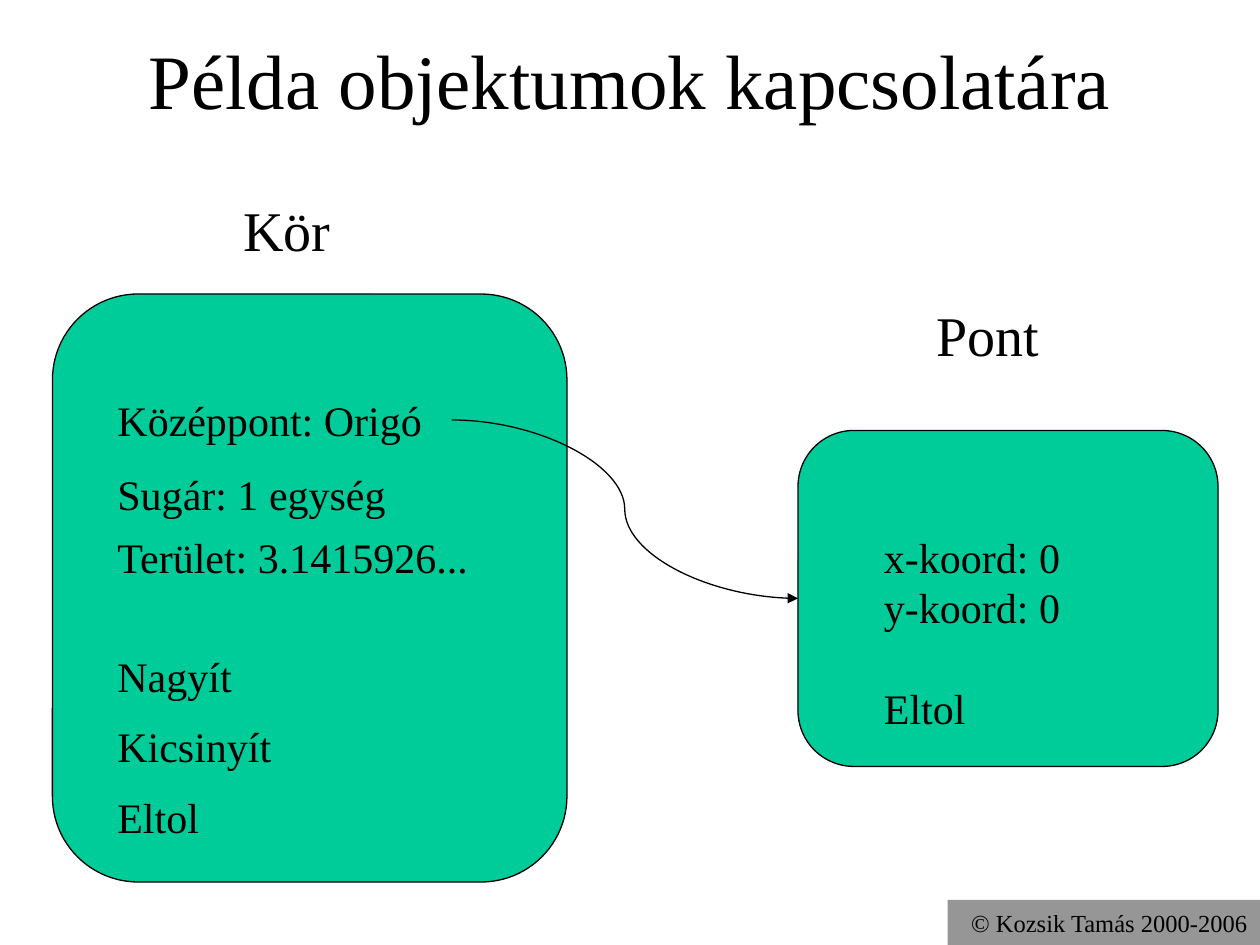
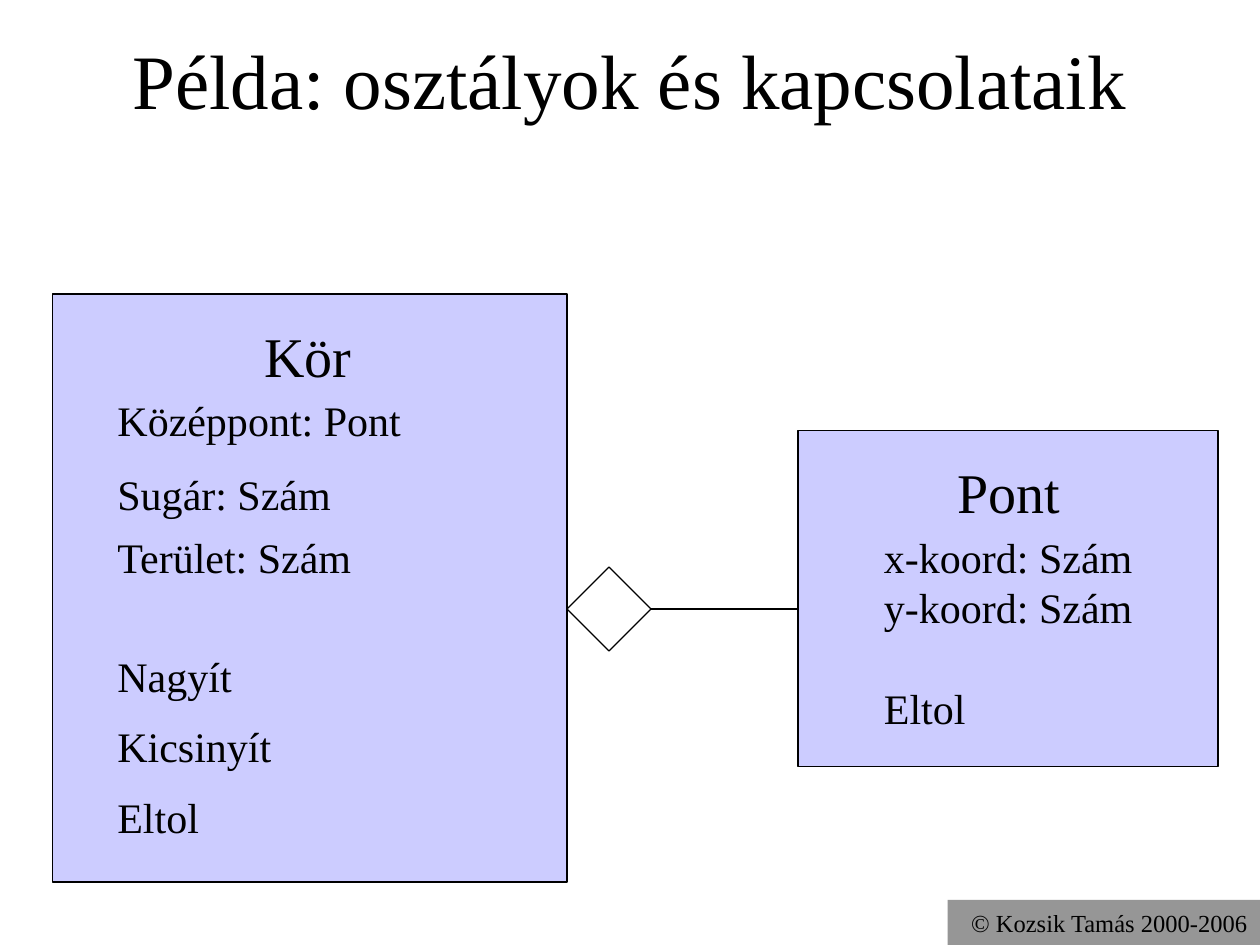
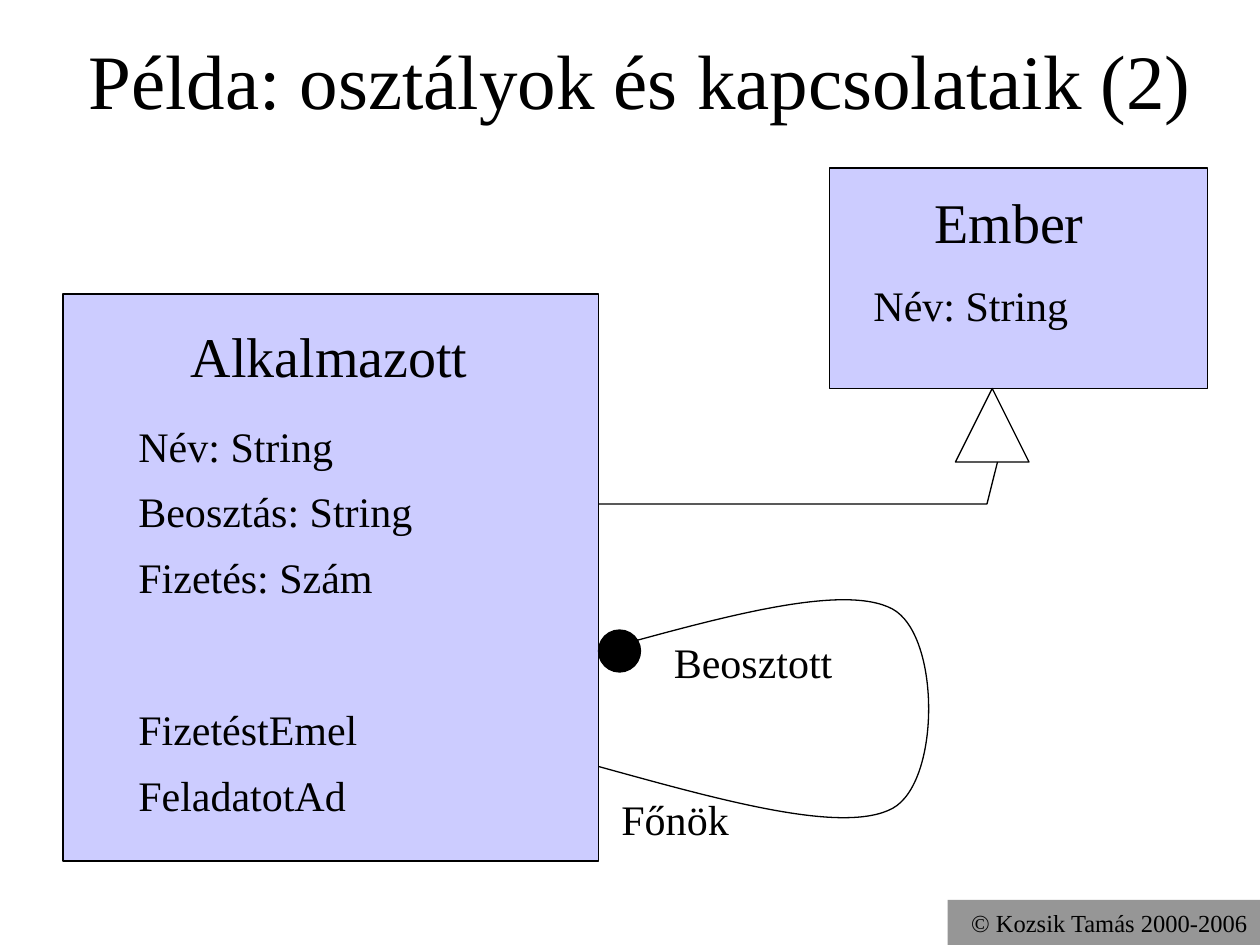
"""Build three slides on objects, classes and how they relate."""
from pptx import Presentation
from pptx.dml.color import RGBColor
from pptx.enum.dml import MSO_LINE
from pptx.enum.shapes import MSO_CONNECTOR, MSO_SHAPE
from pptx.enum.text import MSO_ANCHOR, MSO_AUTO_SIZE, PP_ALIGN
from pptx.oxml.ns import qn
from pptx.util import Inches, Pt
from lxml.etree import SubElement

HUES = {"ink": "000000", "object": "00CC99", "class": "CCCCFF", "foot": "969696"}
INK = RGBColor.from_string(HUES["ink"])
FONT = "Times New Roman"
UNIT = Inches(1) / 12
COLS, ROWS = 120, 90
HEAD, BODY, SMALL = 32, 24, 14


def write(frame, lines, size, pitch=1.0, align=PP_ALIGN.LEFT):
    for i, line in enumerate(lines):
        para = frame.paragraphs[0] if i == 0 else frame.add_paragraph()
        para.alignment = align
        para.line_spacing = pitch
        run = para.add_run()
        run.text = line
        run.font.name = FONT
        run.font.size = Pt(size)
        run.font.color.rgb = INK


def place(slide, grid, kind=None, hue=None, lines=(), size=BODY, pitch=1.0):
    spot = [round(n * UNIT) for n in grid]
    if kind is None:
        shape = slide.shapes.add_textbox(*spot)
        shape.text_frame.word_wrap = True
        shape.text_frame.margin_right = 0
        write(shape.text_frame, lines, size, pitch)
        return shape
    shape = slide.shapes.add_shape(kind, *spot)
    shape.shadow.inherit = False
    shape.line.color.rgb = INK
    shape.line.width = Pt(0.75)
    if hue:
        shape.fill.solid()
        shape.fill.fore_color.rgb = RGBColor.from_string(HUES[hue])
    else:
        shape.fill.background()
    return shape


deck = Presentation()
deck.slide_width = round(COLS * UNIT)
deck.slide_height = round(ROWS * UNIT)

heads = [
    ("Példa objektumok kapcsolatára", 9, 102),
    ("Példa: osztályok és kapcsolataik", 9, 102),
    ("Példa: osztályok és kapcsolataik (2)", 6, 110),
]
for text, left, width in heads:
    slide = deck.slides.add_slide(deck.slide_layouts[5])
    title = slide.shapes.title
    title.left, title.top = round(left * UNIT), 0
    title.width, title.height = round(width * UNIT), round(15 * UNIT)
    title.text_frame.auto_size = MSO_AUTO_SIZE.NONE
    title.text_frame.vertical_anchor = MSO_ANCHOR.MIDDLE
    write(title.text_frame, [text], 44, align=PP_ALIGN.CENTER)
    foot = place(slide, (90.25, 85.7, 29.75, 4.3), MSO_SHAPE.RECTANGLE, "foot")
    foot.line.fill.background()
    write(foot.text_frame, ["© Kozsik Tamás 2000-2006"], SMALL, align=PP_ALIGN.RIGHT)

objs, kinds, staff = deck.slides

pairs = [
    (objs, MSO_SHAPE.ROUNDED_RECTANGLE, "object", (22, 18), (88, 28),
     ["Középpont: Origó", "Sugár: 1 egység", "Terület: 3.1415926..."],
     ["x-koord: 0", "y-koord: 0", "Eltol"]),
    (kinds, MSO_SHAPE.RECTANGLE, "class", (24, 30), (90, 43),
     ["Középpont: Pont", "Sugár: Szám", "Terület: Szám"],
     ["x-koord: Szám", "y-koord: Szám", "Eltol"]),
]
points = []
for slide, kind, hue, ring, dot, fields, coords in pairs:
    points.append(place(slide, (76, 41, 40, 32), kind, hue))
    place(slide, (5, 28, 49, 56), kind, hue)
    place(slide, (*ring, 11.75, 7.5), lines=["Kör"], size=HEAD)
    place(slide, (*dot, 12.25, 7.5), lines=["Pont"], size=HEAD)
    for top, field in zip((37, 44, 50), fields):
        place(slide, (10, top, 39, 6), lines=[field])
    place(slide, (10, 59.4, 30, 21.4),
          lines=["Nagyít", "Kicsinyít", "Eltol"], pitch=1.4)
    block = place(slide, (83, 50, 26, 20.4), lines=coords)
    block.text_frame.paragraphs[-1].space_before = Pt(1.2 * BODY)

place(kinds, (54, 54, 8, 8), MSO_SHAPE.DIAMOND)

links = []
for slide, kind, ends in [
    (objs, MSO_CONNECTOR.CURVE, (43, 40, 76, 57)),
    (kinds, MSO_CONNECTOR.STRAIGHT, (62, 58, 76, 58)),
]:
    link = slide.shapes.add_connector(kind, *[round(n * UNIT) for n in ends])
    link.line.color.rgb = INK
    link.line.width = Pt(0.75)
    links.append(link)
links[0].end_connect(points[0], 1)
SubElement(links[0].line._get_or_add_ln(), qn("a:tailEnd"), type="triangle")
for link in links:
    SubElement(link._element.spPr, qn("a:effectLst"))

place(staff, (6, 28, 51, 54), MSO_SHAPE.RECTANGLE, "class")
place(staff, (79, 16, 36, 21), MSO_SHAPE.RECTANGLE, "class")

loop = [(57, 62), (68.6, 58.8), (80.3, 55.5), (85, 58), (89.6, 60.5),
        (89.6, 74.5), (85, 77), (80.3, 79.5), (68.6, 76.2), (57, 73)]
bend = [(57, 48), (94, 48), (95, 44)]
paths = []
for route in (loop, bend):
    pen = staff.shapes.build_freeform(*route[0], scale=UNIT)
    pen = staff.shapes.build_freeform(
        *[round(n * UNIT) for n in route[0]], scale=1.0)
    pen.add_line_segments(
        [(round(x * UNIT), round(y * UNIT)) for x, y in route[1:]], close=False)
    wire = pen.convert_to_shape()
    wire.shadow.inherit = False
    wire.fill.background()
    wire.line.color.rgb = INK
    wire.line.width = Pt(0.75)
    paths.append(wire)

track = paths[0]._element.find(".//" + qn("a:path"))
steps = track.findall(qn("a:lnTo"))
for i in range(0, len(steps), 3):
    curve = SubElement(track, qn("a:cubicBezTo"))
    for step in steps[i:i + 3]:
        curve.append(step[0])
        track.remove(step)

place(staff, (57, 60, 4, 4), MSO_SHAPE.OVAL, "ink")
place(staff, (91, 37, 7, 7), MSO_SHAPE.ISOSCELES_TRIANGLE)

for grid, lines, size, pitch in [
    ((17, 30, 28.8, 7.5), ["Alkalmazott"], HEAD, 1.0),
    ((87.8, 17.25, 16.7, 7.5), ["Ember"], HEAD, 1.0),
    ((82, 26, 21, 6), ["Név: String"], BODY, 1.0),
    ((12, 38, 28.5, 20), ["Név: String", "Beosztás: String", "Fizetés: Szám"], BODY, 1.3),
    ((12, 65, 23.3, 13.7), ["FizetéstEmel", "FeladatotAd"], BODY, 1.3),
    ((63, 60, 17.5, 6), ["Beosztott"], BODY, 1.0),
    ((58, 75, 12.6, 6), ["Főnök"], BODY, 1.0),
]:
    place(staff, grid, lines=lines, size=size, pitch=pitch)

deck.save("out.pptx")
